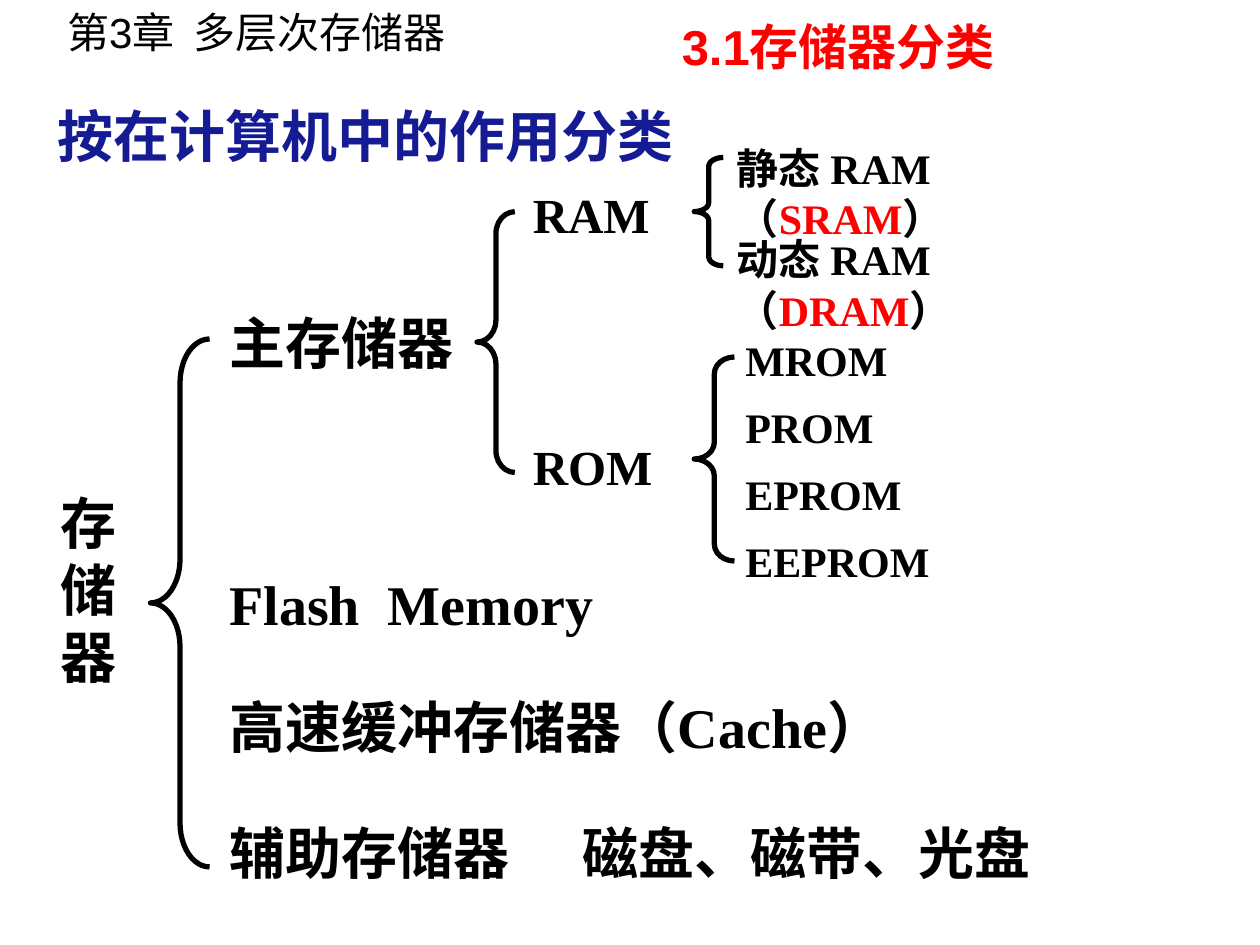
from pptx import Presentation
from pptx.dml.color import RGBColor
from pptx.enum.shapes import MSO_SHAPE
from pptx.enum.text import MSO_AUTO_SIZE
from pptx.util import Pt

BLACK = RGBColor(0x00, 0x00, 0x00)
RED = RGBColor(0xFF, 0x00, 0x00)
NAVY = RGBColor(0x15, 0x1B, 0x93)


class SlideBuilder:
    """Holds the text and line style together with the current slide."""

    font_name = "Times New Roman"
    brace_width = 3

    def __init__(self, slide):
        self.slide = slide

    def label(self, content, left, top, width, height, size=32, color=BLACK,
              font=None, bold=True):
        box = self.slide.shapes.add_textbox(Pt(left), Pt(top), Pt(width), Pt(height))
        frame = box.text_frame
        frame.text = content
        frame.word_wrap = True
        frame.auto_size = MSO_AUTO_SIZE.SHAPE_TO_FIT_TEXT
        for paragraph in frame.paragraphs:
            for run in paragraph.runs:
                self.style(run, size, color, font or self.font_name, bold)
        return frame.paragraphs[0]

    def style(self, run, size, color, font, bold):
        run.font.size = Pt(size)
        run.font.color.rgb = color
        run.font.name = font
        run.font.bold = bold

    def ram_type(self, kind, acronym, top, width):
        """A label whose acronym in brackets is red."""
        line = self.label(f"{kind} RAM（", 414, top, width, 36, 24)
        for content, color in ((acronym, RED), ("）", BLACK)):
            run = line.add_run()
            run.text = content
            self.style(run, 24, color, self.font_name, True)

    def brace(self, left, top, width, height, curve):
        brace = self.slide.shapes.add_shape(
            MSO_SHAPE.LEFT_BRACE, Pt(left), Pt(top), Pt(width), Pt(height))
        brace.adjustments[0] = curve
        brace.adjustments[1] = 0.5
        brace.shadow.inherit = False
        brace.fill.background()
        brace.line.color.rgb = BLACK
        brace.line.width = Pt(self.brace_width)


def main():
    deck = Presentation()
    deck.slide_width, deck.slide_height = Pt(720), Pt(540)
    builder = SlideBuilder(deck.slides.add_slide(deck.slide_layouts[6]))

    # Headings
    builder.label("第3章  多层次存储器", 31.2, 0, 289.5, 36, 24, font="Arial", bold=False)
    builder.label("3.1存储器分类", 382.5, 5.8, 219.6, 41, 28, RED, "Arial")
    builder.label("按在计算机中的作用分类", 25.5, 54.7, 396.7, 46, 32, NAVY, "Calibri")

    # Root of the tree
    builder.label("存\n储\n器", 27.4, 275.5, 48, 122.4)
    builder.brace(86, 193.7, 33.8, 301.7, 0.74)

    # First level
    for name, top, width in (
        ("主存储器", 172.8, 144.7),
        ("Flash  Memory", 321.8, 295.9),
        ("高速缓冲存储器（Cache）", 392.4, 445.7),
        ("辅助存储器", 464.4, 182),
    ):
        builder.label(name, 124, top, width, 45.4)
    builder.label("磁盘、磁带、光盘", 325.7, 464.4, 280.8, 45.4)

    # Main memory: RAM and ROM
    builder.brace(272.6, 121, 21.6, 149, 0.58)
    for name, top in (("RAM", 102.2), ("ROM", 246.2)):
        builder.label(name, 297.4, top, 92, 41, 28)

    # RAM types
    builder.brace(396.7, 90, 16.6, 61.9, 0.31)
    builder.ram_type("静态", "SRAM", 77.8, 221.8)
    builder.ram_type("动态", "DRAM", 130, 227.5)

    # ROM types, evenly spaced
    builder.brace(396.7, 204, 23, 116.6, 0.42)
    for row, name in enumerate(("MROM", "PROM", "EPROM", "EEPROM")):
        builder.label(name, 418.8, 187.4 + row * 38.4, 188.6, 36, 24)

    deck.save("out.pptx")


if __name__ == "__main__":
    main()
